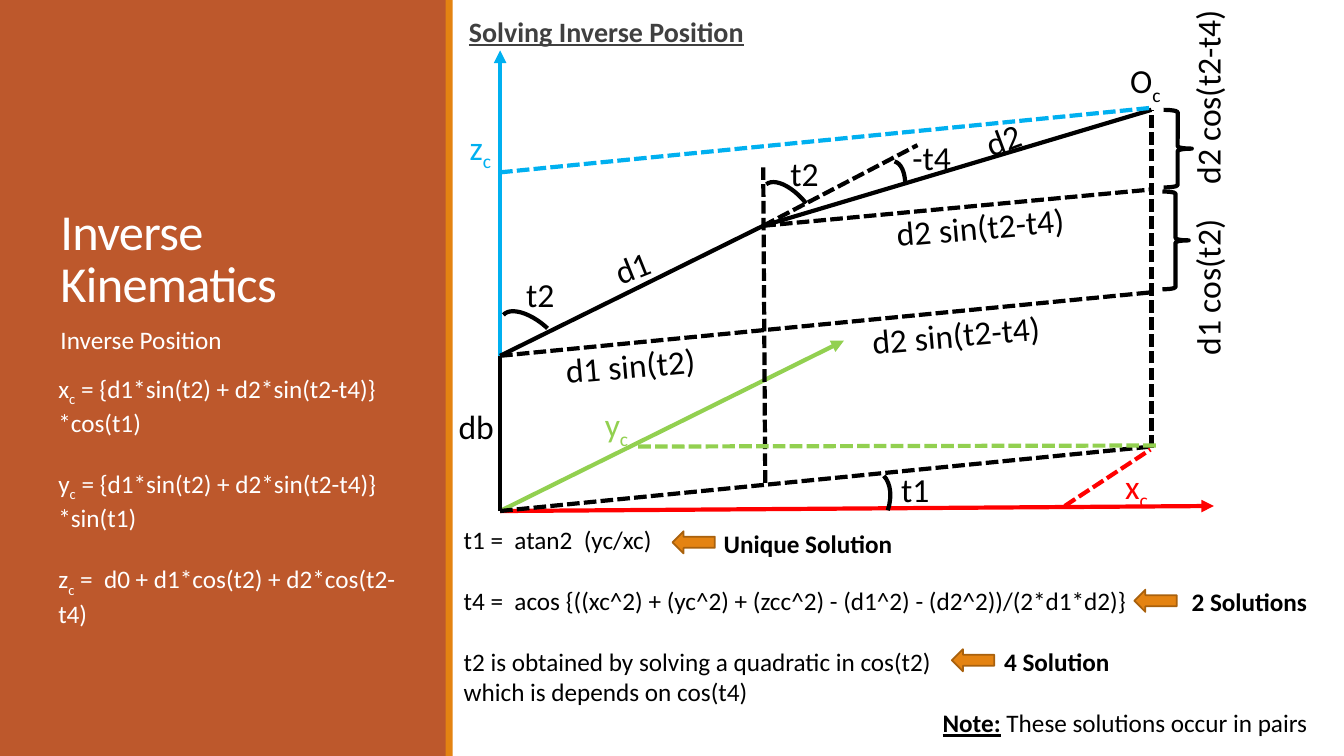
from lxml.etree import SubElement
from pptx import Presentation
from pptx.dml.color import RGBColor
from pptx.enum.shapes import MSO_CONNECTOR, MSO_SHAPE
from pptx.enum.text import MSO_ANCHOR, MSO_AUTO_SIZE, PP_ALIGN
from pptx.oxml.ns import qn
from pptx.util import Inches, Pt

# Every length is counted in columns and rows of a 0.1 inch grid.
CELL = Inches(0.1)
COLORS = {
    "panel": "BD582C", "accent": "E48312", "arrow_edge": "A9610D",
    "white": "FFFFFF", "black": "000000", "heading": "404040",
    "x": "FF0000", "y": "92D050", "z": "00B0F0",
}
BLANK_LINE = Pt(22)


def rgb(name):
    return RGBColor.from_string(COLORS[name])


def cells(*values):
    return [int(v * CELL) for v in values]


def place(box, x, y):
    """Slide position of a point given relative to a region box."""
    return box[0] + x, box[1] + y


def set_attrs(target, values):
    for name, value in values.items():
        setattr(target, name, value)


def add_run(p, text, size, color, sub=False, **font):
    r = p.add_run()
    r.text = text
    set_attrs(r.font, {"name": "Calibri", "size": Pt(size), **font})
    r.font.color.rgb = rgb(color)
    if sub:
        r.font._element.set("baseline", "-25000")
    return r


def write(p, text, size, color, **font):
    """Fill a paragraph; the character after each underscore is a subscript."""
    first, *rest = text.split("_")
    add_run(p, first, size, color, **font)
    for part in rest:
        add_run(p, part[0], size, color, sub=True, **font)
        if part[1:]:
            add_run(p, part[1:], size, color, **font)


def add_text(s, box, x, y, w, h, lines, size=18, color="black", gaps=(), rot=0, **font):
    """Add a text box; gaps holds the line numbers that follow an open line."""
    sp = s.shapes.add_textbox(*cells(*place(box, x, y), w, h))
    sp.rotation = rot
    tf = sp.text_frame
    set_attrs(tf, {"word_wrap": True, "auto_size": MSO_AUTO_SIZE.SHAPE_TO_FIT_TEXT})
    for i, line in enumerate(lines):
        p = tf.add_paragraph() if i else tf.paragraphs[0]
        if i in gaps:
            p.space_before = BLANK_LINE
        write(p, line, size, color, **font)
    return sp


def add_preset(s, box, kind, x, y, w, h, fill=None, line=None, width=3, rot=0):
    sp = s.shapes.add_shape(kind, *cells(*place(box, x, y), w, h))
    sp.shadow.inherit = False
    sp.rotation = rot
    if fill:
        sp.fill.solid()
        sp.fill.fore_color.rgb = rgb(fill)
    else:
        sp.fill.background()
    if line:
        sp.line.color.rgb = rgb(line)
        sp.line.width = Pt(width)
    else:
        sp.line.fill.background()
    return sp


def add_line(s, box, start, end, color="black", dash=False, arrow=False):
    c = s.shapes.add_connector(MSO_CONNECTOR.STRAIGHT,
                               *cells(*place(box, *start), *place(box, *end)))
    c.line.color.rgb = rgb(color)
    c.line.width = Pt(3)
    ln = c.line._get_or_add_ln()
    if dash:
        SubElement(ln, qn("a:prstDash"), val="sysDash")
    if arrow:
        SubElement(ln, qn("a:tailEnd"), type="triangle")
    SubElement(c._element.spPr, qn("a:effectLst"))


def fill_placeholder(sp, box, x, y, w, h, text, size, spacing, anchor):
    left, top, width, height = cells(*place(box, x, y), w, h)
    set_attrs(sp, {"left": left, "top": top, "width": width, "height": height})
    tf = sp.text_frame
    set_attrs(tf, {"word_wrap": True, "auto_size": MSO_AUTO_SIZE.NONE,
                   "vertical_anchor": anchor})
    p = tf.paragraphs[0]
    pPr = p._p.get_or_add_pPr()
    set_attrs(p, {"alignment": PP_ALIGN.LEFT, "line_spacing": spacing,
                  "space_before": Pt(0)})
    pPr.set("marL", "0")
    pPr.set("indent", "0")
    SubElement(pPr, qn("a:buNone"))
    return add_run(p, text, size, "white")


def sidebar(s, box):
    title, body = s.shapes.title, s.placeholders[1]
    for x, w, color in ((0, 44.3, "panel"), (44.2, 0.7, "accent")):
        panel = add_preset(s, box, MSO_SHAPE.RECTANGLE, x, 0, w, box[3], fill=color)
        title._element.addprevious(panel._element)
    r = fill_placeholder(title, box, 5, 6.5, 35, 25, "Inverse Kinematics", 36, 0.85,
                         MSO_ANCHOR.BOTTOM)
    r.font._element.set("spc", "-50")
    fill_placeholder(body, box, 5, 32, 35, 37, "Inverse Position", 18, 0.9, MSO_ANCHOR.TOP)
    reach = "{d1*sin(t2) + d2*sin(t2-t4)}"
    add_text(s, box, 4.8, 36.5, 37.1, 25.2,
             [f"x_c = {reach}*cos(t1)", f"y_c = {reach}*sin(t1)",
              "z_c =  d0 + d1*cos(t2) + d2*cos(t2-t4)"], color="white", gaps=(1, 2))


def arm_diagram(s, box):
    base, shoulder, elbow, tip = (4.7, 50.7), (4.7, 35.3), (30.8, 22.4), (69.3, 10.9)
    side = tip[0]
    for end, color in (((4.7, 5), "z"), ((75.5, 50.2), "x"), ((38.8, 33.8), "y")):
        add_line(s, box, base, end, color, arrow=True)
    for start, end in ((shoulder, base), (shoulder, elbow), (elbow, tip)):
        add_line(s, box, start, end)
    for start, end, color in (
        (base, (side, 44.3), "black"),
        (shoulder, (side, 29), "black"),
        (elbow, (46.1, 14.4), "black"),
        (elbow, (side, 18.8), "black"),
        ((side, 44.4), tip, "black"),
        ((31, 47.9), (30.8, 16.6), "black"),
        ((4.7, 17.1), (side, 10.7), "z"),
        ((18.4, 44.3), (69.9, 44.2), "y"),
        ((60.7, 50.2), (69.2, 44.6), "x"),
    ):
        add_line(s, box, start, end, color, dash=True)

    for x, y, w, rot, begin, finish in (
        (37.9, 46.4, 5.2, 27.2, 167.72, 204.58),
        (6.1, 29.9, 3.7, 310.7, 162, 6.24),
        (41, 15.9, 3.7, 14.7, 162, 183.34),
        (31.7, 17.4, 3.7, 320.5, 162, 2.2),
    ):
        arc = add_preset(s, box, MSO_SHAPE.ARC, x, y, w, 7.7, line="black", rot=rot)
        arc.adjustments[0], arc.adjustments[1] = begin, finish
    for x, y, w, h in ((70.4, 19, 2.6, 9.7), (70.5, 10.9, 2.8, 7.7)):
        add_preset(s, box, MSO_SHAPE.RIGHT_BRACE, x, y, w, h, line="black")

    short, long, tilt = 7.5, 19.9, 355.1
    for text, x, y, w, rot, color in (
        ("t1", 43.5, 46, short, 0, "black"),
        ("t2", 6.3, 26.7, short, 0, "black"),
        ("t2", 32.5, 14.7, short, 0, "black"),
        ("-t4", 44.6, 13.1, short, 0, "black"),
        ("d1", 15, 23.6, short, 338.2, "black"),
        ("d2", 51.8, 10.9, short, 339.6, "black"),
        ("db", -0.4, 39.8, short, 0, "black"),
        ("x_c", 65.7, 45.7, short, 0, "x"),
        ("z_c", 0.7, 12.1, short, 0, "z"),
        ("y_c", 14.1, 39.6, short, 0, "y"),
        ("O_c", 66.2, 5.5, short, 0, "black"),
        ("d2 sin(t2-t4)", 43, 19.9, long, tilt, "black"),
        ("d2 sin(t2-t4)", 40.6, 30.6, long, tilt, "black"),
        ("d1 sin(t2)", 10.2, 33.5, long, tilt, "black"),
        ("d1 cos(t2)", 64.9, 23.8, long, 270, "black"),
        ("d2 cos(t2-t4)", 64.9, 6.8, long, 270, "black"),
    ):
        add_text(s, box, x, y, w, 5, [text], size=24, color=color, rot=rot)

    heading = add_text(s, box, 1.6, 1.3, 70.8, 5.2, ["Solving Inverse Position"], size=20,
                       color="heading", bold=True, underline=True)
    set_attrs(heading.text_frame, {"margin_left": 0, "margin_right": 0})
    heading.text_frame.paragraphs[0].line_spacing = 0.9


def solutions(s, box):
    add_text(s, box, 0.1, 0, 71.9, 19.2,
             ["t1 =  atan2  (yc/xc)",
              "t4 =  acos {((xc^2) + (yc^2) + (zcc^2) - (d1^2) - (d2^2))/(2*d1*d2)}",
              "t2 is obtained by solving a quadratic in cos(t2)",
              "which is depends on cos(t4)"], gaps=(1, 2))
    for text, x, y, text_x, w in (
        ("Unique Solution", 21.8, 1.2, 25.9, 25.6),
        ("2 Solutions", 67.6, 7, 72.3, 14.5),
        ("4 Solution", 49.5, 12.9, 53.7, 13.9),
    ):
        add_preset(s, box, MSO_SHAPE.LEFT_ARROW, x, y, 4.2, 2.2, fill="accent",
                   line="arrow_edge", width=1.25)
        add_text(s, box, text_x, y - 0.8, w, 4, [text], bold=True)
    note = add_text(s, box, 47.6, 18.2, 39.9, 4, ["Note:"], bold=True, underline=True)
    p = note.text_frame.paragraphs[0]
    p.alignment = PP_ALIGN.JUSTIFY
    add_run(p, " These solutions occur in pairs", 18, "black")


def main():
    prs = Presentation()
    prs.slide_width, prs.slide_height = Inches(13.33), Inches(7.5)
    s = prs.slides.add_slide(prs.slide_layouts[1])
    sidebar(s, (0, 0, 44.9, 75))
    arm_diagram(s, (44.9, 0, 88.4, 51.5))
    solutions(s, (44.9, 51.5, 88.4, 23.5))
    prs.save("out.pptx")


if __name__ == "__main__":
    main()
